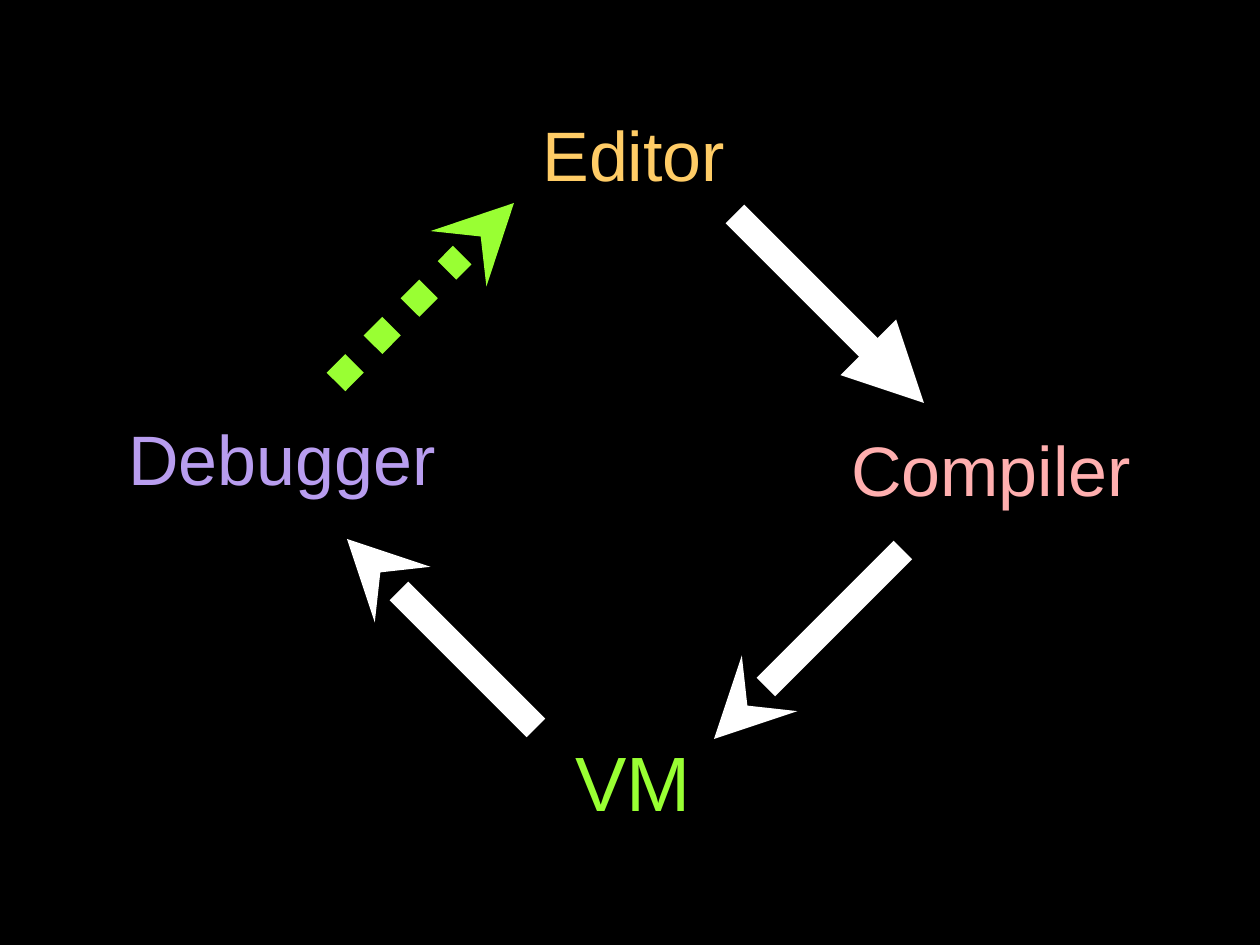
from pptx import Presentation
from pptx.dml.color import RGBColor
from pptx.enum.dml import MSO_LINE
from pptx.enum.shapes import MSO_CONNECTOR
from pptx.enum.text import MSO_AUTO_SIZE
from pptx.oxml.ns import qn
from pptx.util import Pt
from lxml.etree import SubElement

PX = 914400 // 126  # EMU in one px
BLACK = RGBColor(0x00, 0x00, 0x00)
WHITE = RGBColor(0xFF, 0xFF, 0xFF)
GOLD = RGBColor(0xFF, 0xCC, 0x66)
PINK = RGBColor(0xFF, 0xAF, 0xAF)
GREEN = RGBColor(0x99, 0xFF, 0x33)
LILAC = RGBColor(0xB8, 0x9D, 0xEF)

# Stages: text, box (left, top, width, height), size, colour
STAGES = [
    ("Editor", (530, 105, 208, 97), 40, GOLD),
    ("Compiler", (839, 420, 306, 97), 40, PINK),
    ("VM", (563, 728, 142, 106), 44, GREEN),
    ("Debugger", (116, 409, 334, 97), 40, LILAC),
]
# Arrows: ends (x1, y1, x2, y2), colour, head, dash
ARROWS = [
    ((735, 214, 924, 403), WHITE, "triangle", None),
    ((903, 550, 714, 739), WHITE, "stealth", None),
    ((536, 728, 347, 539), WHITE, "stealth", None),
    ((336, 382, 514, 203), GREEN, "stealth", MSO_LINE.ROUND_DOT),
]


def scale(nums):
    return [n * PX for n in nums]


def add_label(slide, text, box, size, color):
    frame = slide.shapes.add_textbox(*scale(box)).text_frame
    frame.word_wrap = False
    frame.auto_size = MSO_AUTO_SIZE.SHAPE_TO_FIT_TEXT
    run = frame.paragraphs[0].add_run()
    run.text = text
    for key, val in {"name": "Arial", "size": Pt(size)}.items():
        setattr(run.font, key, val)
    run.font.color.rgb = color


def add_arrow(slide, ends, color, head, dash):
    arrow = slide.shapes.add_connector(MSO_CONNECTOR.STRAIGHT, *scale(ends))
    line = arrow.line
    line.color.rgb = color
    for key, val in {"width": Pt(15), "dash_style": dash}.items():
        setattr(line, key, val)
    # Arrowhead, and no shadow
    props = arrow.element.spPr
    SubElement(props.find(qn("a:ln")), qn("a:tailEnd"), type=head)
    SubElement(props, qn("a:effectLst"))


def main():
    deck = Presentation()
    deck.slide_width, deck.slide_height = scale((1260, 945))
    slide = deck.slides.add_slide(deck.slide_layouts[6])
    fill = slide.background.fill
    fill.solid()
    fill.fore_color.rgb = BLACK
    for stage in STAGES:
        add_label(slide, *stage)
    for arrow in ARROWS:
        add_arrow(slide, *arrow)
    deck.save("out.pptx")


if __name__ == "__main__":
    main()
